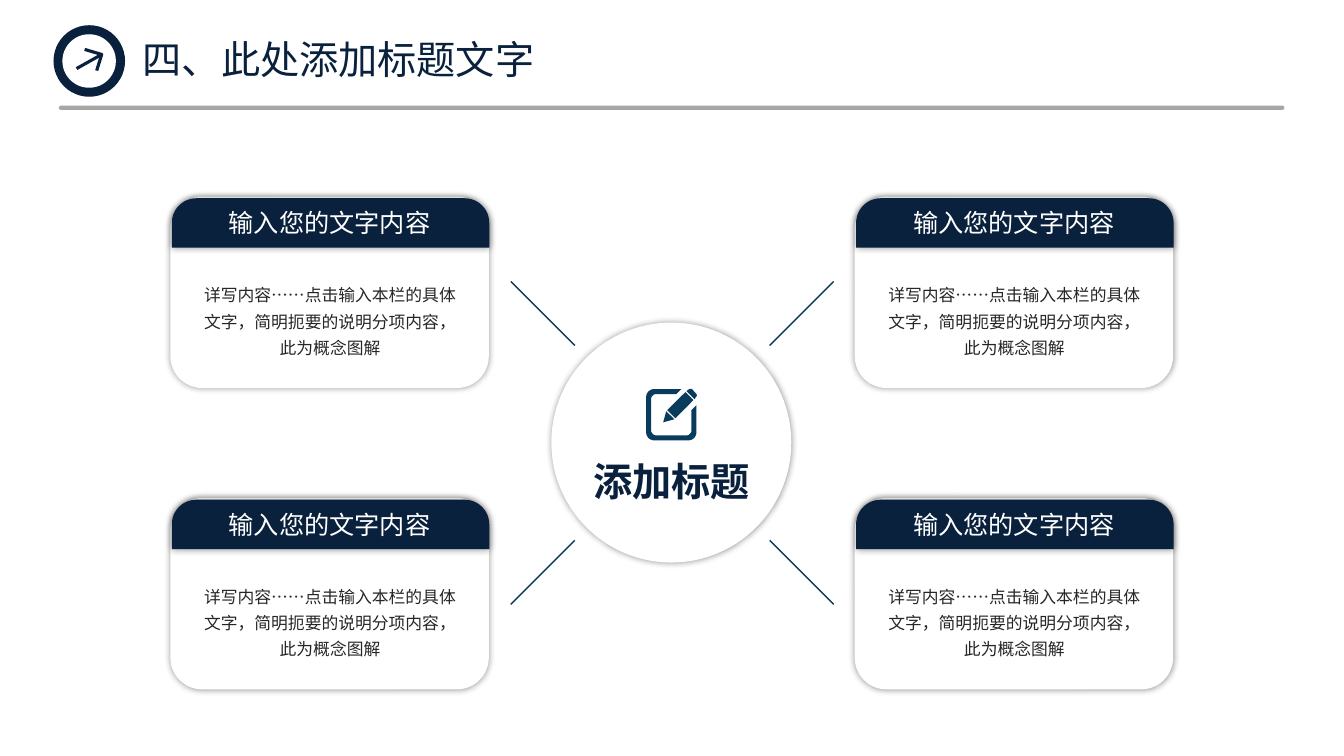
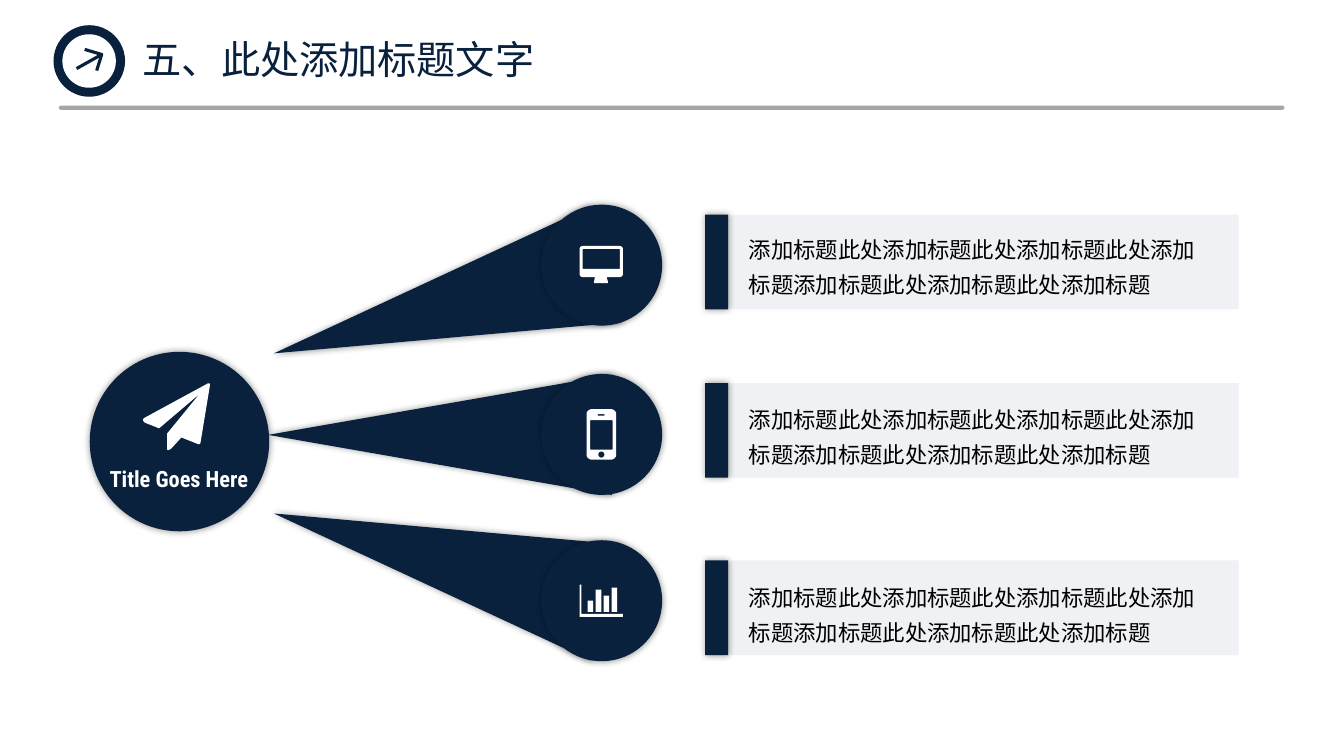
import math
from itertools import product

from lxml import etree
from pptx import Presentation
from pptx import util as u
from pptx.dml.color import RGBColor
from pptx.enum import shapes, text
from pptx.oxml.ns import qn

NAVY, TEAL, WHITE = "09213D", "093B5C", "FFFFFF"
GREY, PALE, INK, BLACK = "A6A6A6", "EBEEF2", "262626", "000000"
HEADING_FONT, BODY_FONT = "Noto Sans CJK JP", "Noto Sans CJK SC"
PANEL_FONT, HUB_FONT = "Calibri", "Roboto Condensed"
KIND = shapes.MSO_SHAPE
CENTER = text.PP_ALIGN.CENTER
TENTH = u.Pt(0.1)  # unit of the outline coordinates


def rect(left, top, width, height, radius=0):
    right, bottom = left + width, top + height
    return [(left, top, radius), (right, top, radius),
            (right, bottom, radius), (left, bottom, radius)]


# Each icon is a list of outlines; a vertex is x, y and an optional corner radius.
PENCIL = [
    [(367, 50, 14), (346, 79), (288, 22), (320, 0, 14)],
    [(209, 216), (151, 158), (281, 29), (338, 86)],
    [(202, 223), (122, 245), (144, 166)],
    [(36, 43, 36), (36, 338, 36), (324, 338, 36), (324, 158), (360, 122),
     (360, 374, 58), (0, 374, 58), (0, 7, 58), (252, 7), (216, 43)],
]
MONITOR = [
    [(0, 0, 25), (310, 0, 25), (310, 223, 25), (194, 223),
     (205, 266, 8), (102, 266, 8), (110, 223), (0, 223, 25)],
    rect(22, 22, 266, 143, 4),
]
PHONE = [rect(0, 0, 212, 360, 36), rect(25, 79, 162, 209, 5),
         rect(79, 36, 51, 10, 4), rect(84, 302, 44, 44, 22)]
BAR_CHART = [
    [(0, 0), (14, 0), (14, 209), (310, 209), (310, 230), (0, 230)],
    *[rect(58 + 57 * index, top, 40, 195 - top)
      for index, top in enumerate((115, 36, 79, 22))],
]
PLANE = [
    [(482, 0, 24), (408, 450, 18), (274, 396), (200, 478, 8), (173, 490, 10),
     (173, 367), (403, 86), (115, 331), (0, 285, 18), (0, 262, 10)],
]


def color(value):
    return RGBColor.from_string(value)


def add_shadow(shape):
    effects = shape.element.spPr.find(qn("a:effectLst"))
    outer = etree.SubElement(effects, qn("a:outerShdw"), blurRad=str(u.Pt(5)),
                             dist="0", dir="0", algn="ctr", rotWithShape="0")
    tint = etree.SubElement(outer, qn("a:srgbClr"), val=BLACK)
    etree.SubElement(tint, qn("a:alpha"), val="40000")


def paint(shape, fill, shadow=False):
    shape.shadow.inherit = False
    shape.fill.solid()
    shape.fill.fore_color.rgb = color(fill)
    shape.line.fill.background()
    if shadow:
        add_shadow(shape)


def add_block(page, kind, left, top, width, height, fill, shadow=False):
    shape = page.shapes.add_shape(
        kind, u.Pt(left), u.Pt(top), u.Pt(width), u.Pt(height))
    paint(shape, fill, shadow)
    return shape


def add_disc(page, left, top, size, fill, shadow=False):
    add_block(page, KIND.OVAL, left, top, size, size, fill, shadow)


def add_line(page, start, end, stroke, width):
    line = page.shapes.add_connector(
        shapes.MSO_CONNECTOR.STRAIGHT, *[u.Pt(v) for v in (*start, *end)])
    line.line.color.rgb = color(stroke)
    line.line.width = u.Pt(width)
    etree.SubElement(line.element.spPr, qn("a:effectLst"))


def round_corners(vertices):
    """Return plain points, with a sampled curve at each rounded vertex."""
    points = []
    for index, (x, y, *radius) in enumerate(vertices):
        if not radius or not radius[0]:
            points.append((x, y))
            continue
        ends = []
        for other in (vertices[index - 1], vertices[(index + 1) % len(vertices)]):
            share = radius[0] / math.dist((x, y), other[:2])
            ends.append((x + (other[0] - x) * share, y + (other[1] - y) * share))
        for step in range(7):
            t = step / 6
            before = (1 - t) ** 3 + 1.35 * t * (1 - t) ** 2
            after = t ** 3 + 1.35 * t ** 2 * (1 - t)
            corner = 1 - before - after
            points.append(tuple(
                ends[0][axis] * before + (x, y)[axis] * corner + ends[1][axis] * after
                for axis in (0, 1)))
    return points


def add_icon(page, outlines, left, top, fill):
    contours = [round_corners(outline) for outline in outlines]
    builder = page.shapes.build_freeform(*contours[0][0], scale=TENTH)
    builder.add_line_segments(contours[0][1:])
    for contour in contours[1:]:
        builder.move_to(*contour[0])
        builder.add_line_segments(contour[1:])
    paint(builder.convert_to_shape(u.Pt(left), u.Pt(top)), fill)


def add_text(page, left, top, width, height, words, font, size, ink, *,
             bold=False, align=None, spacing=None, wrap=True, inset=True,
             anchor=text.MSO_ANCHOR.TOP):
    box = page.shapes.add_textbox(
        u.Pt(left), u.Pt(top), u.Pt(width), u.Pt(height))
    frame = box.text_frame
    frame.word_wrap = wrap
    frame.auto_size = text.MSO_AUTO_SIZE.SHAPE_TO_FIT_TEXT
    frame.vertical_anchor = anchor
    if not inset:
        frame.margin_left = frame.margin_right = 0
        frame.margin_top = frame.margin_bottom = 0
    para = frame.paragraphs[0]
    para.alignment = align
    para.line_spacing = spacing
    span = para.add_run()
    span.text = words
    span.font.name = font
    span.font.size = u.Pt(size)
    span.font.bold = bold
    span.font.color.rgb = color(ink)


def add_page(deck, title):
    """Add a blank slide with the title, its rule and the arrow badge."""
    page = deck.slides.add_slide(deck.slide_layouts[6])
    add_text(page, 95, 21.6, 297.4, 41, title, HEADING_FONT, 28, NAVY, wrap=False)
    rule = add_block(page, KIND.ROUNDED_RECTANGLE, 42, 75.5, 875.5, 3, GREY)
    rule.adjustments[0] = 0.5
    add_disc(page, 38.2, 18, 51.1, NAVY)
    add_disc(page, 44.6, 24.5, 38.2, WHITE)
    builder = page.shapes.build_freeform(605, 353, scale=TENTH)
    builder.add_line_segments([(727, 389), (691, 504)], close=False)
    head = builder.convert_to_shape()
    head.shadow.inherit = False
    head.fill.background()
    head.line.color.rgb = color(NAVY)
    head.line.width = u.Pt(2.25)
    add_line(page, (54.7, 49), (72.7, 38.9), NAVY, 2.25)
    return page


def add_card(page, left, top):
    add_block(page, KIND.ROUNDED_RECTANGLE, left, top, 227.5, 136.8, WHITE, True)
    band = add_block(page, KIND.ROUND_2_SAME_RECTANGLE,
                     left + 1, top + 1.2, 226.8, 35.3, NAVY, True)
    band.adjustments[0] = 0.5
    add_text(page, left + 28.8, top + 4.3, 169.9, 28.8, "输入您的文字内容",
             HEADING_FONT, 18, WHITE, align=CENTER)
    add_text(page, left + 15.8, top + 55.4, 196.6, 64.1,
             "详写内容……点击输入本栏的具体文字，简明扼要的说明分项内容，此为概念图解",
             BODY_FONT, 12, INK, align=CENTER, spacing=1.3)


def add_branch(page, wedge_top, angle, disc_top, icon, icon_left, icon_top):
    wedge = add_block(page, KIND.FLOWCHART_MERGE,
                      271.4, wedge_top, 85.7, 245.5, NAVY, True)
    wedge.rotation = angle
    add_disc(page, 386.6, disc_top, 86.4, NAVY, True)
    add_icon(page, icon, icon_left, icon_top, WHITE)


def add_panel(page, top, text_top):
    panel = add_block(page, KIND.RECTANGLE, 519.8, top, 365, 67.7, PALE)
    tint = next(panel.element.spPr.iter(qn("a:srgbClr")))
    etree.SubElement(tint, qn("a:alpha"), val="80000")
    add_block(page, KIND.RECTANGLE, 503.7, top, 16.5, 67.7, NAVY, True)
    add_text(page, 527.8, text_top, 348.5, 55.4,
             "添加标题此处添加标题此处添加标题此处添加标题添加标题此处添加标题此处添加标题",
             PANEL_FONT, 16, BLACK, spacing=1.3)


def build_concept_page(deck):
    page = add_page(deck, "四、此处添加标题文字")
    for left, top in product((121.7, 610.5), (140.4, 355.7)):
        add_card(page, left, top)
    add_disc(page, 393.8, 230.4, 171.4, WHITE, True)
    for across, down in product((-1, 1), repeat=2):
        inner, outer = [(480.2 + across * reach, 316.4 + down * reach)
                        for reach in (69.6, 115.3)]
        add_line(page, inner, outer, TEAL, 1)
    add_text(page, 411.8, 326.9, 136.1, 33.8, "添加标题", HEADING_FONT, 28, NAVY,
             bold=True, align=CENTER, inset=False, anchor=text.MSO_ANCHOR.MIDDLE)
    add_icon(page, PENCIL, 461.5, 277.2, TEAL)


def build_branch_page(deck):
    page = add_page(deck, "五、此处添加标题文字")
    add_branch(page, 97.9, 75, 146.2, MONITOR, 414, 175.7)
    add_branch(page, 187.9, 90, 267.1, PHONE, 419, 292.3)
    add_branch(page, 275.8, 105, 385.9, BAR_CHART, 414, 417.6)
    add_disc(page, 64.1, 251.3, 128.2, NAVY, True)
    add_icon(page, PLANE, 102.2, 272.9, WHITE)
    add_text(page, 74.9, 332.6, 105.8, 19.4, "Title Goes Here", HUB_FONT, 16, WHITE,
             bold=True, align=CENTER, inset=False)
    for top, text_top in ((153.4, 159.1), (273.6, 280.8), (400.3, 408.2)):
        add_panel(page, top, text_top)


def main():
    deck = Presentation()
    deck.slide_width, deck.slide_height = u.Pt(960), u.Pt(540)
    build_concept_page(deck)
    build_branch_page(deck)
    deck.save("out.pptx")


if __name__ == "__main__":
    main()
